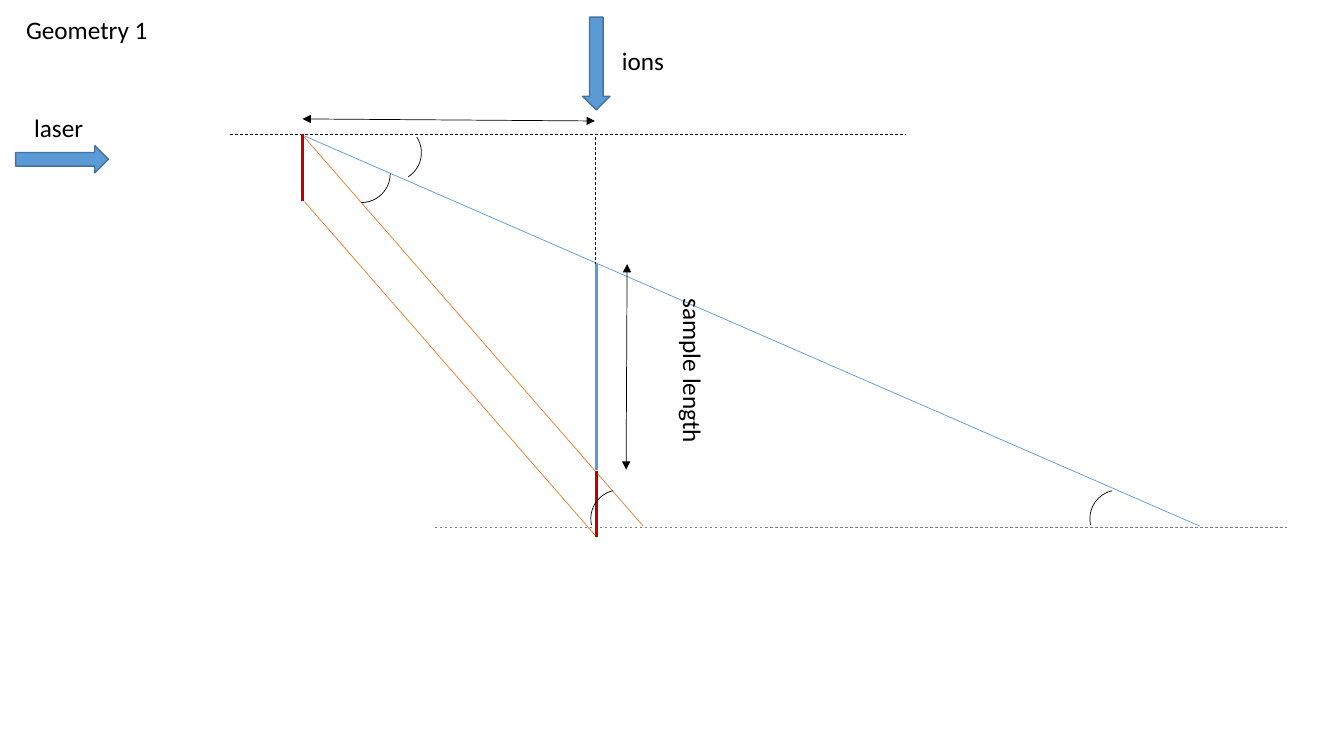
from lxml import etree
from pptx import Presentation
from pptx.dml.color import RGBColor
from pptx.enum.dml import MSO_LINE
from pptx.enum.shapes import MSO_CONNECTOR, MSO_SHAPE
from pptx.enum.text import MSO_AUTO_SIZE
from pptx.oxml.ns import qn
from pptx.util import Emu, Pt

SCALE = 9144
ARC = MSO_SHAPE.ARC
DOWN = MSO_SHAPE.DOWN_ARROW
STRAIGHT = MSO_CONNECTOR.STRAIGHT
DASH = MSO_LINE.DASH
GROW = MSO_AUTO_SIZE.SHAPE_TO_FIT_TEXT

THEME = {
    "ink": RGBColor(0x00, 0x00, 0x00),
    "blue": RGBColor(0x5B, 0x9B, 0xD5),
    "edge": RGBColor(0x43, 0x73, 0x9E),
    "orange": RGBColor(0xED, 0x7D, 0x31),
    "red": RGBColor(0xC0, 0x00, 0x00),
    "grey": RGBColor(0x7F, 0x7F, 0x7F),
    "text": {"name": "Calibri", "size": Pt(18)},
    "thin": {"width": Pt(0.5)},
    "dash": {"width": Pt(0.5), "dash_style": DASH},
    "bold": {"width": Pt(2)},
    "rim": {"width": Pt(1)},
}


def px(*sizes):
    return [Emu(size * SCALE) for size in sizes]


def apply(target, values):
    for name, value in values.items():
        setattr(target, name, value)


def stroke(line, color, style):
    line.fill.solid()
    line.color.rgb = THEME[color]
    apply(line, THEME[style])


def add_line(slide, start, end, color, style, heads=False):
    link = slide.shapes.add_connector(STRAIGHT, *px(*start, *end))
    stroke(link.line, color, style)
    if heads:
        edge = link.line._get_or_add_ln()
        for tag in ("a:headEnd", "a:tailEnd"):
            etree.SubElement(edge, qn(tag), type="triangle")
    etree.SubElement(link._element.spPr, qn("a:effectLst"))


def add_form(slide, kind, box, turn, color, style, fill=None):
    form = slide.shapes.add_shape(kind, *px(*box))
    apply(form, {"rotation": turn})
    form.shadow.inherit = False
    if fill:
        form.fill.solid()
        form.fill.fore_color.rgb = THEME[fill]
    else:
        form.fill.background()
    stroke(form.line, color, style)


def add_label(slide, box, text, turn=0):
    label = slide.shapes.add_textbox(*px(*box))
    apply(label, {"rotation": turn})
    frame = label.text_frame
    apply(frame, {"word_wrap": False, "auto_size": GROW, "text": text})
    font = frame.paragraphs[0].runs[0].font
    apply(font, THEME["text"])
    font.color.rgb = THEME["ink"]


def add_source(slide, box, turn, label, text):
    left, top, width, height = box
    shift, drop, wide, tall = label
    add_form(slide, DOWN, box, turn, "edge", "rim", "blue")
    add_label(slide, (left + shift, top + drop, wide, tall), text)


def add_rays(slide, box):
    left, top, width, height = box
    right = width + 2
    lines = [
        ((0, 1), (890, 389), "blue", "thin", False),
        ((0, 1), (338, 389), "orange", "thin", False),
        ((right, 129), (right, 333), "blue", "bold", False),
        ((131, 390), (976, 390), "grey", "dash", False),
        ((322, 129), (321, 333), "ink", "thin", True),
        ((-72, 0), (598, 0), "ink", "dash", False),
        ((width, 3), (width, 129), "ink", "dash", False),
        ((0, -15), (width, -13), "ink", "thin", True),
        ((0, 0), (0, 66), "red", "bold", False),
        ((2, 67), (right, height), "orange", "thin", False),
        ((right, 334), (right, height), "red", "bold", False),
    ]
    for start, end, color, style, heads in lines:
        first, last = [(left + x, top + y) for x, y in (start, end)]
        add_line(slide, first, last, color, style, heads)
    arcs = [(30, 11, 90), (61, -10, 56.9), (286, 353, 257.1), (781, 353, 257.1)]
    for x, y, turn in arcs:
        add_form(slide, ARC, (left + x, top + y, 57, 57), turn, "ink", "thin")
    add_label(slide, (left + 305, top + 216, 165, 40), "sample length", 90)


def main():
    deck = Presentation()
    deck.slide_width, deck.slide_height = px(1333, 750)
    slide = deck.slides.add_slide(deck.slide_layouts[6])
    add_label(slide, (16, 9, 142, 40), "Geometry 1")
    add_rays(slide, (300, 133, 290, 400))
    add_source(slide, (578, 17, 27, 92), 0, (29, 23, 62, 40), "ions")
    add_source(slide, (48, 112, 27, 92), 270, (-24, -5, 69, 40), "laser")
    deck.save("out.pptx")


if __name__ == "__main__":
    main()
